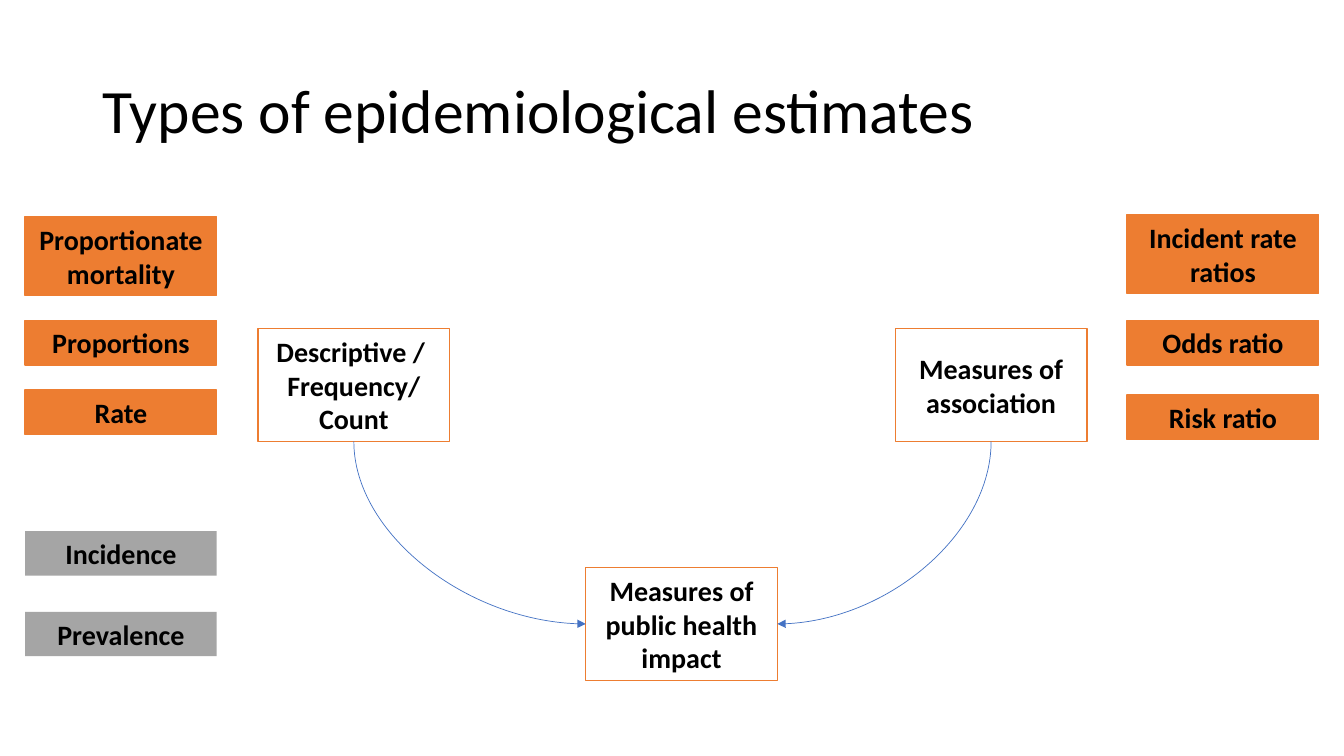
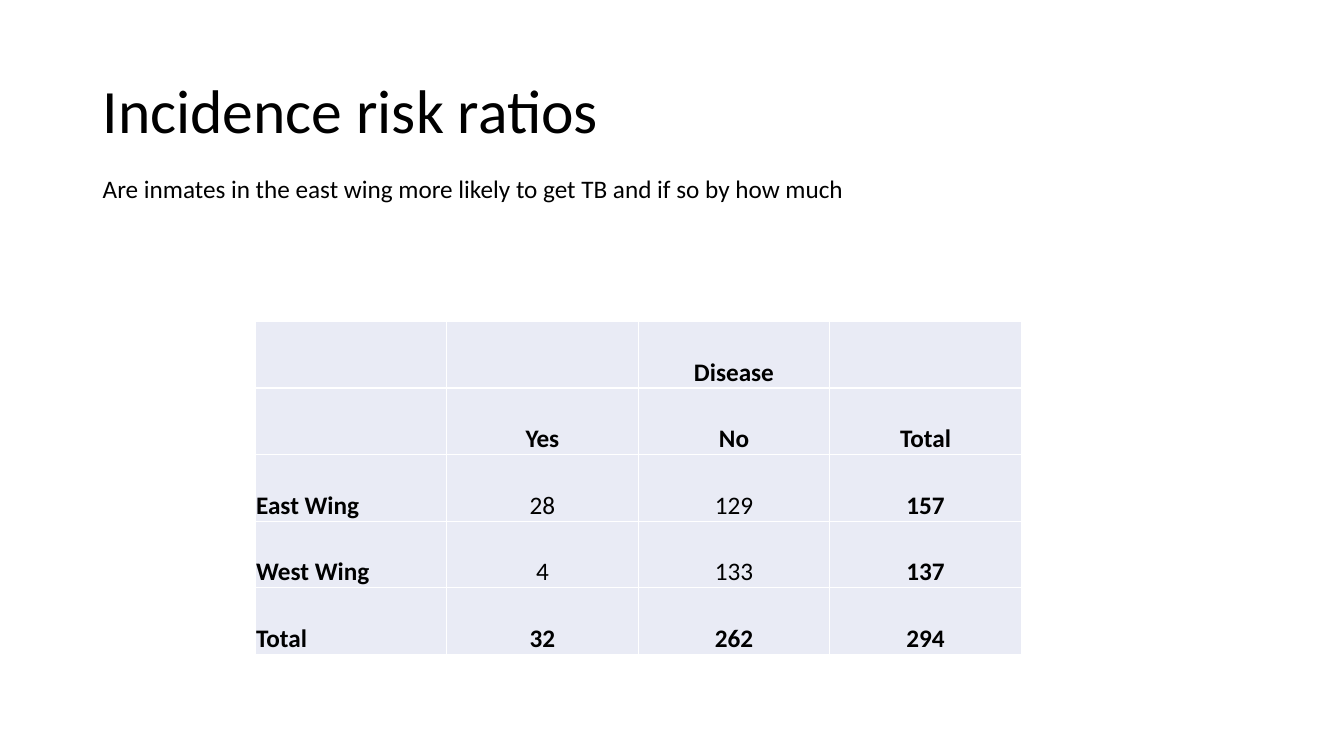
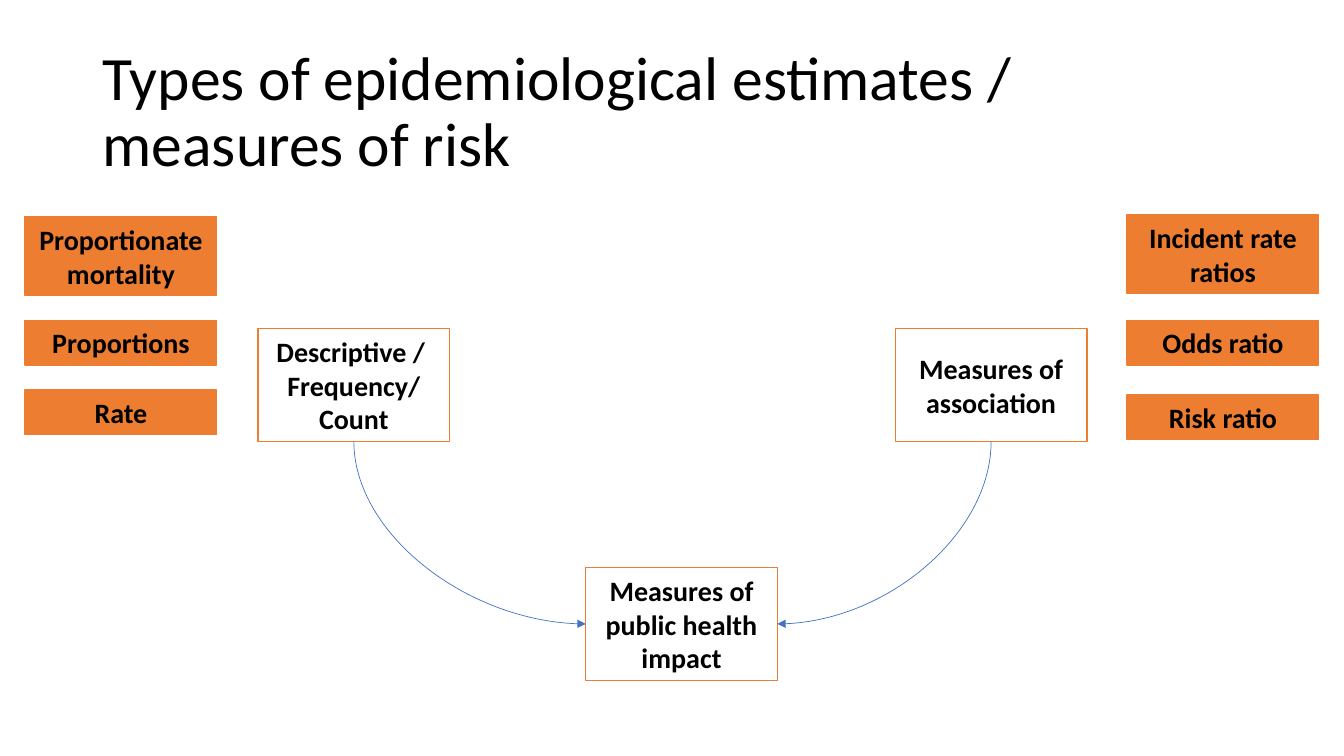
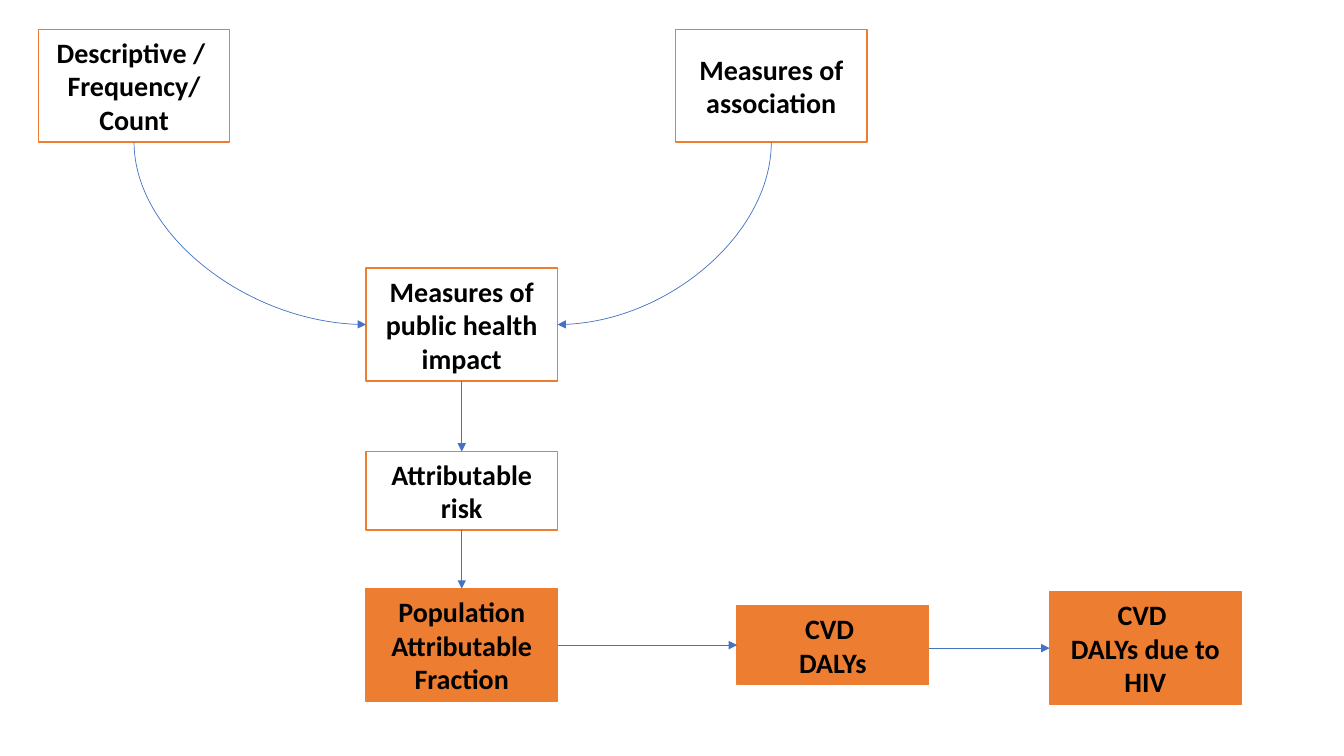
from dataclasses import dataclass
from typing import Any

import lxml.etree
import pptx
import pptx.dml.color
import pptx.enum.shapes
import pptx.enum.text
import pptx.oxml.ns
import pptx.presentation
import pptx.shapes.autoshape
import pptx.shapes.connector
import pptx.slide
import pptx.table
import pptx.text.text
import pptx.util

EMU_PER_PX = 9144
BOX_WIDTH = 190
ONE_LINE, TWO_LINES, THREE_LINES = 44, 78, 112
BOTTOM, LEFT, RIGHT, TOP = 2, 1, 3, 0


@dataclass(frozen=True)
class Theme:
    font: str = "Calibri"
    text: str = "000000"
    paper: str = "FFFFFF"
    accent: str = "ED7D31"
    neutral: str = "A5A5A5"
    arrow: str = "4472C4"
    cell: str = "E9EBF5"
    title_size: int = 44
    box_size: int = 20
    body_size: int = 18
    box_line: float = 1
    arrow_line: float = 0.5


THEME = Theme()


@dataclass(frozen=True)
class BoxStyle:
    fill: str | None
    line: str | None


FILLED = BoxStyle(THEME.accent, THEME.accent)
WHITE = BoxStyle(THEME.paper, THEME.accent)
HOLLOW = BoxStyle(None, THEME.accent)
GREY = BoxStyle(THEME.neutral, None)


@dataclass(frozen=True)
class Box:
    left: int
    top: int
    height: int
    lines: tuple[str, ...]
    style: BoxStyle = FILLED


ESTIMATE_BOXES = (
    Box(25, 215, TWO_LINES, ("Proportionate mortality",)),
    Box(25, 318, ONE_LINE, ("Proportions",)),
    Box(25, 387, ONE_LINE, ("Rate",)),
    Box(1118, 213, TWO_LINES, ("Incident rate ratios",)),
    Box(1118, 318, ONE_LINE, ("Odds ratio",)),
    Box(1118, 392, ONE_LINE, ("Risk ratio",)),
)
OCCURRENCE_BOXES = (
    Box(25, 527, ONE_LINE, ("Incidence",), GREY),
    Box(25, 607, ONE_LINE, ("Prevalence",), GREY),
)
WING_ROWS = (
    ("", "", "Disease", ""),
    ("", "Yes", "No", "Total"),
    ("East Wing", "28", "129", "157"),
    ("West Wing", "4", "133", "137"),
    ("Total", "32", "262", "294"),
)


def px(length: int) -> pptx.util.Emu:
    return pptx.util.Emu(length * EMU_PER_PX)


def rgb(value: str) -> pptx.dml.color.RGBColor:
    return pptx.dml.color.RGBColor.from_string(value)


def apply_format(target: Any, values: dict[str, Any]) -> None:
    for name, value in values.items():
        setattr(target, name, value)


def write_paragraph(
    paragraph: pptx.text.text._Paragraph,
    text: str,
    size: int,
    bold: bool = False,
    centred: bool = False,
    spacing: float | None = None,
) -> None:
    align = pptx.enum.text.PP_ALIGN
    apply_format(
        paragraph,
        {"alignment": align.CENTER if centred else align.LEFT, "line_spacing": spacing},
    )
    paragraph.font.size = pptx.util.Pt(size)
    if text:
        run = paragraph.add_run()
        run.text = text
        apply_format(
            run.font,
            {"name": THEME.font, "size": pptx.util.Pt(size), "bold": bold},
        )
        run.font.color.rgb = rgb(THEME.text)


def add_text(
    slide: pptx.slide.Slide,
    bounds: tuple[int, int, int, int],
    text: str,
    size: int,
    spacing: float | None = None,
) -> None:
    frame = slide.shapes.add_textbox(*map(px, bounds)).text_frame
    apply_format(
        frame,
        {"word_wrap": True, "vertical_anchor": pptx.enum.text.MSO_ANCHOR.MIDDLE},
    )
    write_paragraph(frame.paragraphs[0], text, size, spacing=spacing)


def add_title(slide: pptx.slide.Slide, text: str) -> None:
    add_text(slide, (92, 40, 1150, 145), text, THEME.title_size, 0.9)


def add_box(slide: pptx.slide.Slide, box: Box) -> pptx.shapes.autoshape.Shape:
    shape = slide.shapes.add_shape(
        pptx.enum.shapes.MSO_SHAPE.RECTANGLE,
        *map(px, (box.left, box.top, BOX_WIDTH, box.height)),
    )
    shape.shadow.inherit = False
    for fill, colour in ((shape.fill, box.style.fill), (shape.line.fill, box.style.line)):
        if colour is None:
            fill.background()
        else:
            fill.solid()
            fill.fore_color.rgb = rgb(colour)
    if box.style.line:
        shape.line.width = pptx.util.Pt(THEME.box_line)
    frame = shape.text_frame
    apply_format(
        frame,
        {
            "word_wrap": True,
            "auto_size": pptx.enum.text.MSO_AUTO_SIZE.SHAPE_TO_FIT_TEXT,
            "vertical_anchor": pptx.enum.text.MSO_ANCHOR.MIDDLE,
        },
    )
    for index, line in enumerate(box.lines):
        paragraph = frame.add_paragraph() if index else frame.paragraphs[0]
        write_paragraph(paragraph, line, THEME.box_size, bold=True, centred=True)
    return shape


def add_arrow(
    slide: pptx.slide.Slide,
    end: pptx.shapes.autoshape.Shape,
    end_side: int,
    begin: pptx.shapes.autoshape.Shape | None = None,
    begin_side: int = BOTTOM,
    begin_point: tuple[int, int] = (0, 0),
    curved: bool = False,
) -> None:
    kind = pptx.enum.shapes.MSO_CONNECTOR
    point = tuple(map(px, begin_point))
    connector = slide.shapes.add_connector(
        kind.CURVE if curved else kind.STRAIGHT, *point, *point
    )
    if begin is not None:
        connector.begin_connect(begin, begin_side)
    connector.end_connect(end, end_side)
    connector.line.color.rgb = rgb(THEME.arrow)
    connector.line.width = pptx.util.Pt(THEME.arrow_line)
    qualify = pptx.oxml.ns.qn
    lxml.etree.SubElement(
        connector.get_or_add_ln(), qualify("a:tailEnd"), {"type": "triangle"}
    )
    lxml.etree.SubElement(connector._element.spPr, qualify("a:effectLst"))
    if curved:
        bend_quarter(connector)


def bend_quarter(connector: pptx.shapes.connector.Connector) -> None:
    rightward = connector.end_x > connector.begin_x
    centre_x = (connector.begin_x + connector.end_x) // 2
    centre_y = (connector.begin_y + connector.end_y) // 2
    width, height = connector.height, connector.width
    properties = connector._element.spPr
    properties.find(pptx.oxml.ns.qn("a:prstGeom")).set("prst", "curvedConnector2")
    apply_format(
        properties.xfrm,
        {"rot": 270 if rightward else 90, "flipH": rightward, "flipV": False},
    )
    apply_format(
        connector,
        {
            "left": pptx.util.Emu(centre_x - width // 2),
            "top": pptx.util.Emu(centre_y - height // 2),
            "width": width,
            "height": height,
        },
    )


def add_measures(
    slide: pptx.slide.Slide, left: int, top: int, style: BoxStyle
) -> pptx.shapes.autoshape.Shape:
    descriptive, association, impact = (
        add_box(slide, Box(left + across, top + down, THREE_LINES, lines, style))
        for across, down, lines in (
            (0, 0, ("Descriptive / ", "Frequency/", "Count")),
            (632, 0, ("Measures of association",)),
            (325, 237, ("Measures of public health impact",)),
        )
    )
    add_arrow(slide, impact, LEFT, descriptive, curved=True)
    add_arrow(slide, impact, RIGHT, association, curved=True)
    return impact


def border_cell(cell: pptx.table._Cell) -> None:
    qualify = pptx.oxml.ns.qn
    properties = cell._tc.get_or_add_tcPr()
    for side in ("a:lnL", "a:lnR", "a:lnT", "a:lnB"):
        line = lxml.etree.SubElement(
            properties, qualify(side), {"w": str(pptx.util.Pt(1))}
        )
        fill = lxml.etree.SubElement(line, qualify("a:solidFill"))
        lxml.etree.SubElement(fill, qualify("a:srgbClr"), {"val": THEME.paper})


def add_wing_table(slide: pptx.slide.Slide) -> None:
    row_height = 66
    row_count, column_count = len(WING_ROWS), len(WING_ROWS[0])
    bounds = (253, 319, BOX_WIDTH * column_count, row_height * row_count)
    table = slide.shapes.add_table(row_count, column_count, *map(px, bounds)).table
    apply_format(table, {"first_row": False, "horz_banding": False})
    for row_index, row in enumerate(WING_ROWS):
        for column_index, text in enumerate(row):
            cell = table.cell(row_index, column_index)
            border_cell(cell)
            cell.fill.solid()
            cell.fill.fore_color.rgb = rgb(THEME.cell)
            apply_format(
                cell,
                {
                    "vertical_anchor": pptx.enum.text.MSO_ANCHOR.BOTTOM,
                    "margin_left": px(1),
                    "margin_right": px(1),
                    "margin_top": px(1),
                    "margin_bottom": px(0),
                },
            )
            is_count = row_index in (2, 3) and column_index in (1, 2)
            write_paragraph(
                cell.text_frame.paragraphs[0],
                text,
                THEME.body_size,
                bold=not is_count,
                centred=column_index > 0,
            )


def build_estimates(slide: pptx.slide.Slide, title: str, boxes: tuple[Box, ...]) -> None:
    add_title(slide, title)
    add_measures(slide, 256, 326, WHITE)
    for box in boxes:
        add_box(slide, box)


def build_risk_ratios(slide: pptx.slide.Slide) -> None:
    add_title(slide, "Incidence risk ratios")
    question = "Are inmates in the east wing more likely to get TB and if so by how much"
    add_text(slide, (92, 167, 1198, 40), question, THEME.body_size)
    add_wing_table(slide)


def build_impact(slide: pptx.slide.Slide) -> None:
    impact = add_measures(slide, 38, 29, HOLLOW)
    risk, fraction, burden, attributed = (
        add_box(slide, box)
        for box in (
            Box(363, 448, TWO_LINES, ("Attributable risk",), HOLLOW),
            Box(363, 584, THREE_LINES, ("Population Attributable Fraction",)),
            Box(731, 601, TWO_LINES, ("CVD ", "DALYs")),
            Box(1041, 587, THREE_LINES, ("CVD ", "DALYs due to HIV")),
        )
    )
    add_arrow(slide, risk, TOP, impact)
    add_arrow(slide, fraction, TOP, risk)
    add_arrow(slide, burden, LEFT, fraction, RIGHT)
    add_arrow(slide, attributed, LEFT, begin_point=(921, 643))


def add_slide(presentation: pptx.presentation.Presentation) -> pptx.slide.Slide:
    return presentation.slides.add_slide(presentation.slide_layouts[6])


def main() -> None:
    presentation = pptx.Presentation()
    apply_format(presentation, {"slide_width": px(1333), "slide_height": px(750)})
    build_estimates(
        add_slide(presentation),
        "Types of epidemiological estimates",
        ESTIMATE_BOXES + OCCURRENCE_BOXES,
    )
    build_risk_ratios(add_slide(presentation))
    build_estimates(
        add_slide(presentation),
        "Types of epidemiological estimates / measures of risk",
        ESTIMATE_BOXES,
    )
    build_impact(add_slide(presentation))
    presentation.save("out.pptx")


if __name__ == "__main__":
    main()
